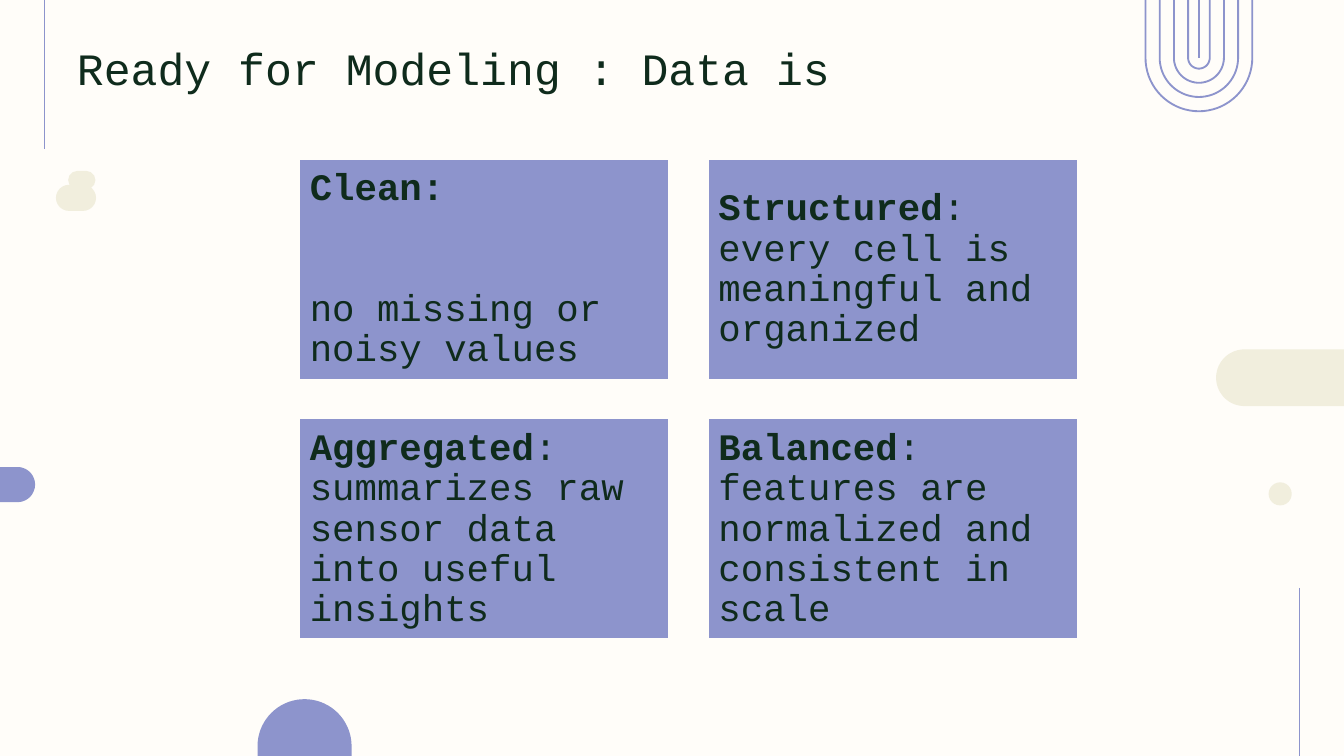
from dataclasses import dataclass
from math import cos, radians, sin

from lxml.etree import SubElement
from pptx import Presentation
from pptx.dml.color import RGBColor
from pptx.enum.shapes import MSO_CONNECTOR as Connector, MSO_SHAPE as Shape
from pptx.enum.text import MSO_ANCHOR as Anchor, MSO_AUTO_SIZE as AutoSize, PP_ALIGN as Align
from pptx.oxml.ns import qn
from pptx.util import Pt

COLORS = {"paper": "FFFDF9", "lilac": "8D94CC", "sand": "F1EEDD", "ink": "0F2B1C"}
FONT = "Courier New"
UNITS_PER_POINT = 100


@dataclass
class Arch:
    """A half circle with straight sides; facing is the angle of its round end."""
    x: float
    y: float
    radius: float
    facing: float
    length: float
    color: str
    outline: bool = False


@dataclass
class Blob:
    kind: Shape
    x: float
    y: float
    width: float
    height: float


@dataclass
class Rule:
    x: float
    top: float
    bottom: float
    width: float = 0.5


@dataclass
class Card:
    heading: str
    detail: str
    gap: float | None = None  # space that puts the detail on its own line


def rgb(name: str) -> RGBColor:
    return RGBColor.from_string(COLORS[name])


def draw_arch(slide, arch: Arch) -> None:
    turn = radians(arch.facing)

    def place(along: float, across: float) -> tuple[float, float]:
        return (round((arch.x + along * cos(turn) - across * sin(turn)) * UNITS_PER_POINT),
                round((arch.y + along * sin(turn) + across * cos(turn)) * UNITS_PER_POINT))

    round_end = [place(arch.radius * cos(radians(a)), arch.radius * sin(radians(a)))
                 for a in range(-90, 91, 5)]
    builder = slide.shapes.build_freeform(*place(-arch.length, -arch.radius),
                                          scale=Pt(1) / UNITS_PER_POINT)
    builder.add_line_segments(round_end + [place(-arch.length, arch.radius)],
                              close=not arch.outline)
    shape = builder.convert_to_shape()
    shape.shadow.inherit = False
    if arch.outline:
        shape.fill.background()
        shape.line.color.rgb = rgb(arch.color)
        shape.line.width = Pt(1)
    else:
        shape.fill.solid()
        shape.fill.fore_color.rgb = rgb(arch.color)
        shape.line.fill.background()


def draw_blob(slide, blob: Blob) -> None:
    shape = slide.shapes.add_shape(blob.kind, Pt(blob.x), Pt(blob.y),
                                   Pt(blob.width), Pt(blob.height))
    if blob.kind == Shape.ROUNDED_RECTANGLE:
        shape.adjustments[0] = 0.5
    shape.shadow.inherit = False
    shape.fill.solid()
    shape.fill.fore_color.rgb = rgb("sand")
    shape.line.fill.background()


def draw_rule(slide, rule: Rule) -> None:
    line = slide.shapes.add_connector(Connector.STRAIGHT, Pt(rule.x), Pt(rule.top),
                                      Pt(rule.x), Pt(rule.bottom))
    line.line.color.rgb = rgb("lilac")
    line.line.width = Pt(rule.width)
    SubElement(line._element.spPr, qn("a:effectLst"))


def style_paragraph(paragraph, size: float) -> None:
    paragraph.alignment = Align.LEFT
    paragraph.font.name = FONT
    paragraph.font.size = Pt(size)
    paragraph.font.color.rgb = rgb("ink")


def draw_card(slide, card: Card, left: float, top: float, width: float, height: float) -> None:
    box = slide.shapes.add_shape(Shape.RECTANGLE, Pt(left), Pt(top), Pt(width), Pt(height))
    box.shadow.inherit = False
    box.fill.solid()
    box.fill.fore_color.rgb = rgb("lilac")
    box.line.color.rgb = rgb("paper")
    box.line.width = Pt(2)

    frame = box.text_frame
    frame.word_wrap = True
    frame.vertical_anchor = Anchor.MIDDLE
    frame.margin_left = frame.margin_right = frame.margin_top = frame.margin_bottom = Pt(6)
    heading = frame.paragraphs[0]
    detail = heading
    if card.gap is not None:
        heading.space_after = Pt(card.gap)
        detail = frame.add_paragraph()
    heading_run = heading.add_run()
    heading_run.text = card.heading
    heading_run.font.bold = True
    detail.add_run().text = card.detail
    for paragraph in frame.paragraphs:
        paragraph.line_spacing = 0.9
        style_paragraph(paragraph, 20)


deck = Presentation()
deck.slide_width, deck.slide_height = Pt(720), Pt(405)
slide = deck.slides.add_slide(deck.slide_layouts[5])
slide.background.fill.solid()
slide.background.fill.fore_color.rgb = rgb("paper")

# Decoration at the slide edges
edge_tabs = [
    Arch(9.4, 259.6, 9.4, 0, 9.4, "lilac"),
    Arch(666.7, 202.4, 15.2, 180, 53.3, "sand"),
    Arch(163.2, 399.8, 25.2, 270, 5.2, "lilac"),
]
nested_arches = [Arch(642.3, 31, 28.6 - 7.6 * i, 90, 31, "lilac", outline=True)
                 for i in range(4)]
for arch in edge_tabs + nested_arches:
    draw_arch(slide, arch)

cloud_and_dot = [
    Blob(Shape.ROUNDED_RECTANGLE, 36.5, 91.6, 14.6, 9.8),
    Blob(Shape.ROUNDED_RECTANGLE, 30, 99, 21.5, 14),
    Blob(Shape.OVAL, 679.6, 258.4, 12.4, 12.4),
]
for blob in cloud_and_dot:
    draw_blob(slide, blob)

for rule in [Rule(23.7, 0, 80), Rule(696.3, 315, 405), Rule(642.3, 0, 31, 1)]:
    draw_rule(slide, rule)

# Title
title = slide.shapes.title
title.left, title.top, title.width, title.height = Pt(34), Pt(18), Pt(429), Pt(36)
title.text_frame.text = "Ready for Modeling : Data is"
title.text_frame.auto_size = AutoSize.NONE
title.text_frame.vertical_anchor = Anchor.TOP
style_paragraph(title.text_frame.paragraphs[0], 24)

# Two by two grid of cards
cards = [
    Card("Clean:", "no missing or noisy values", gap=43),
    Card("Structured", ": every cell is meaningful and organized"),
    Card("Aggregated", ": summarizes raw sensor data into useful insights"),
    Card("Balanced", ": features are normalized and consistent in scale"),
]
GRID_LEFT, GRID_TOP = 160, 84.5
CARD_WIDTH, CARD_HEIGHT, CARD_GAP = 199, 119.3, 19.9
for index, card in enumerate(cards):
    row, column = divmod(index, 2)
    draw_card(slide, card, GRID_LEFT + column * (CARD_WIDTH + CARD_GAP),
              GRID_TOP + row * (CARD_HEIGHT + CARD_GAP), CARD_WIDTH, CARD_HEIGHT)

deck.save("out.pptx")
